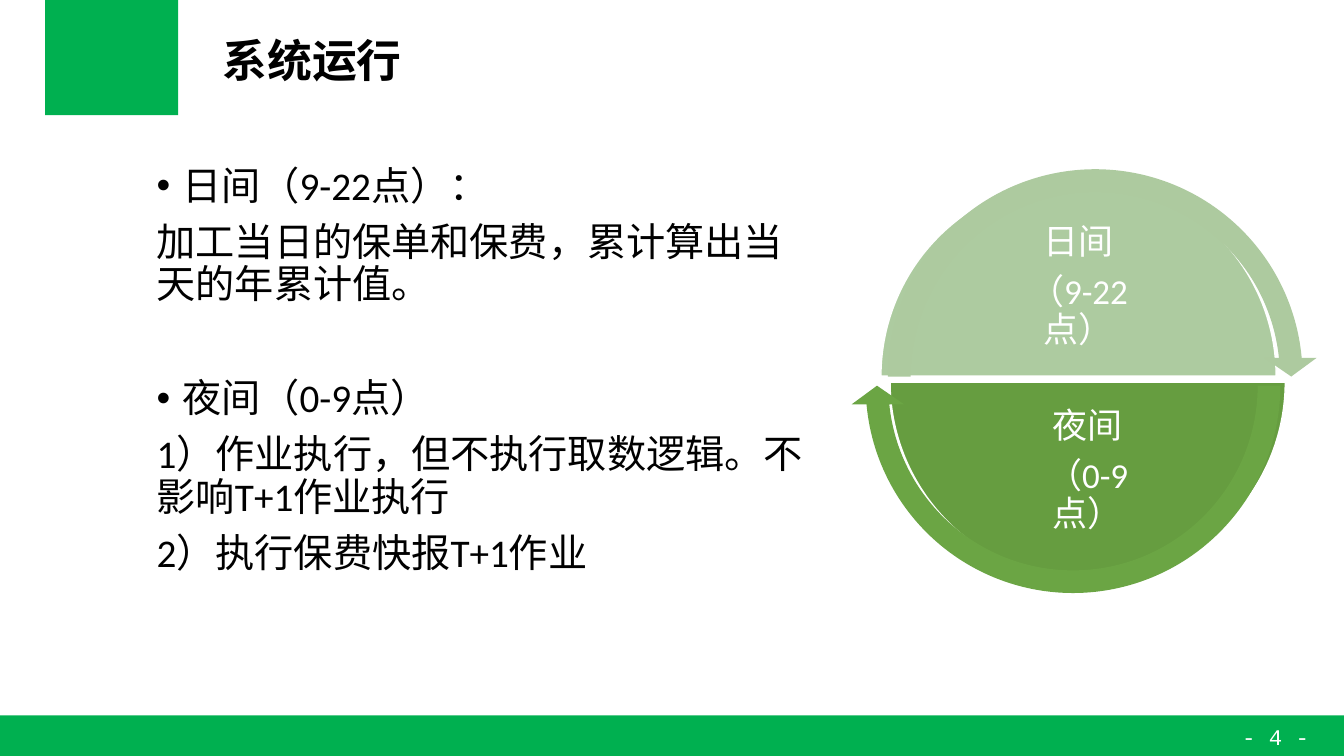
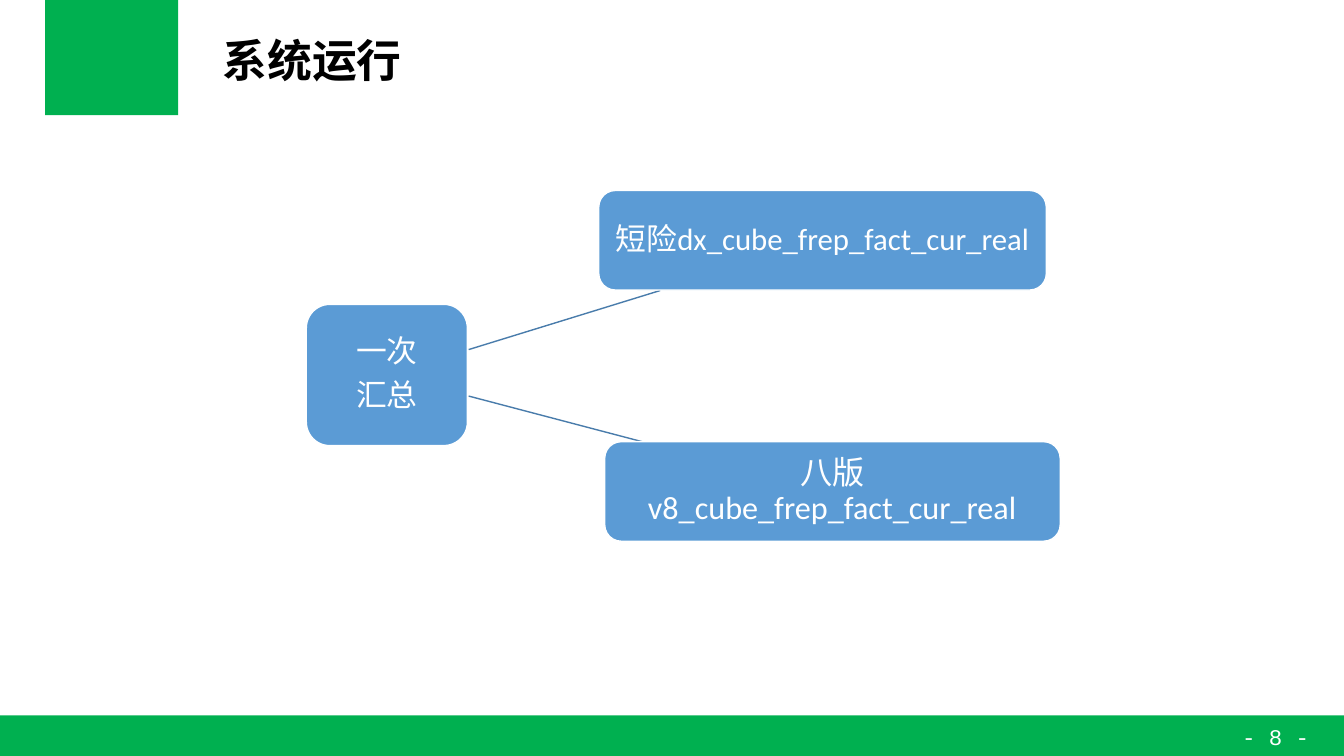
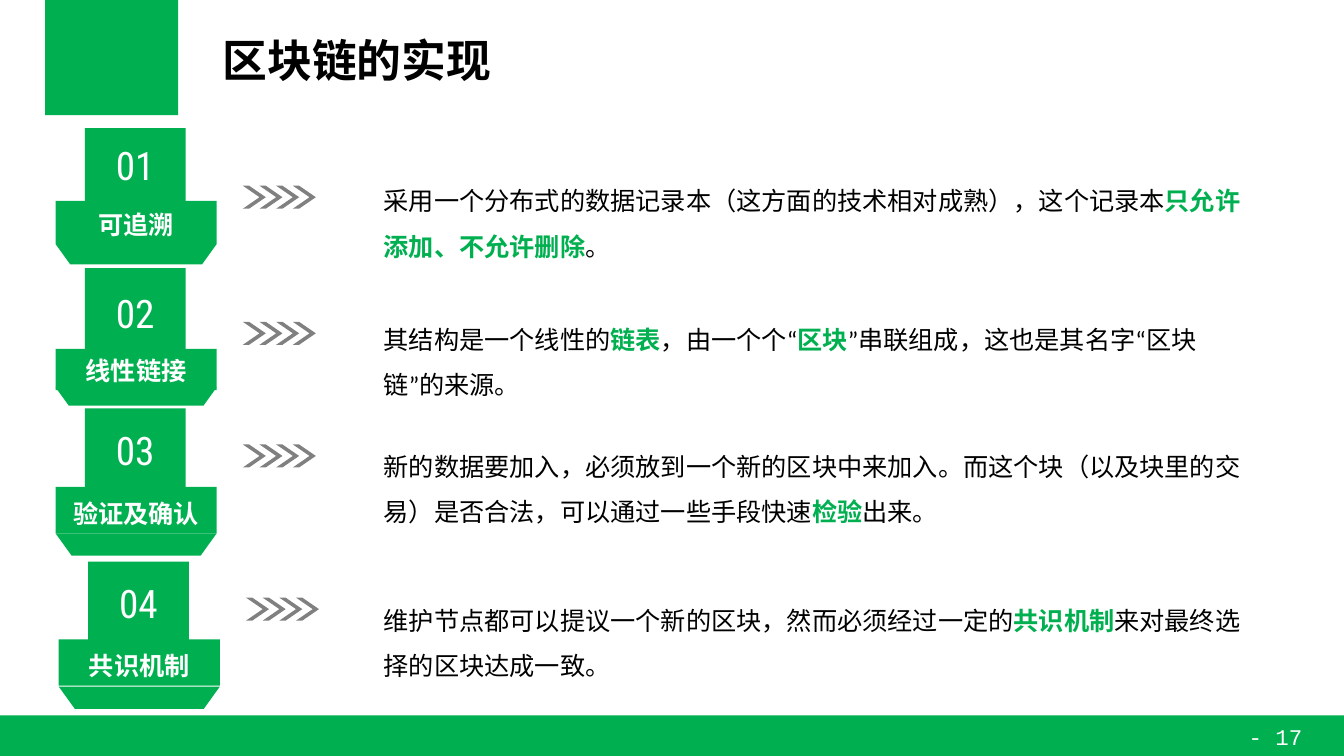
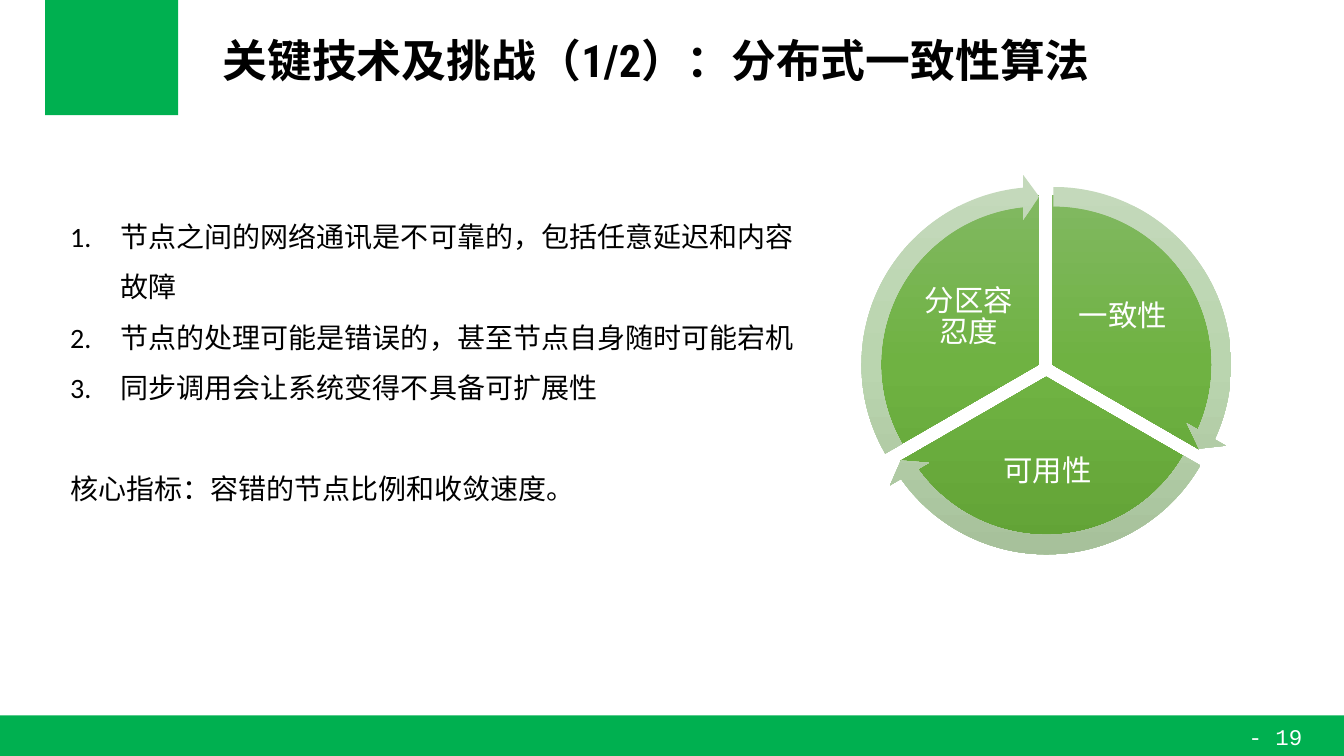
from copy import deepcopy
from dataclasses import dataclass

from lxml import etree
from pptx import Presentation
from pptx.dml.color import RGBColor
from pptx.enum import shapes, text
from pptx.oxml import ns
from pptx.util import Cm, Pt

GREEN, WHITE, BLACK = "00B050", "FFFFFF", "000000"
GREY, BLUE, LINK_BLUE = "808080", "5B9BD5", "497CAB"
SECTOR_GRADIENT = ("81B861", "6FB242", "62A336")
ARROW_GRADIENT = ("C4D9BB", "BAD5AF", "A5BF99")
BODY_FONT, LABEL_FONT, NUMBER_FONT = "Calibri", "Noto Sans CJK SC", "Roboto Condensed"
SLIDE_WIDTH, SLIDE_HEIGHT = 33.87, 19.05
INSETS = (0.25, 0.13, 0.25, 0.13)
SHAPE = shapes.MSO_SHAPE
CENTER = text.PP_ALIGN.CENTER
MIDDLE = text.MSO_ANCHOR.MIDDLE


def rgb(color):
    return RGBColor.from_string(color)


def set_fill(shape, color):
    """Fill with one colour, or with a top-down gradient for a tuple of three."""
    if isinstance(color, str):
        shape.fill.solid()
        shape.fill.fore_color.rgb = rgb(color)
        return
    shape.fill.gradient()
    shape.fill.gradient_angle = 270
    stop_list = shape.element.spPr.find(".//" + ns.qn("a:gsLst"))
    stop_list.insert(1, deepcopy(stop_list[0]))
    for stop, stop_color, position in zip(shape.fill.gradient_stops, color, (0, 0.5, 1)):
        stop.color.rgb = rgb(stop_color)
        stop.position = position


def add_shape(slide, kind, box, fill, line=None, rotation=0, adjustments=()):
    shape = slide.shapes.add_shape(kind, *map(Cm, box))
    shape.shadow.inherit = False
    set_fill(shape, fill)
    if line:
        shape.line.color.rgb = rgb(line)
        shape.line.width = Pt(1)
    else:
        shape.line.fill.background()
    shape.rotation = rotation
    for index, value in enumerate(adjustments):
        shape.adjustments[index] = value
    return shape


def set_frame(shape, insets=INSETS, anchor=text.MSO_ANCHOR.TOP):
    frame = shape.text_frame
    frame.word_wrap = True
    frame.vertical_anchor = anchor
    frame.margin_left, frame.margin_top, frame.margin_right, frame.margin_bottom = map(Cm, insets)
    return frame


def add_text_box(slide, box, **frame_format):
    return set_frame(slide.shapes.add_textbox(*map(Cm, box)), **frame_format)


def add_bullet(paragraph, bullet, indent):
    """Hang a bullet: a character, or the name of an automatic numbering."""
    properties = paragraph._p.get_or_add_pPr()
    properties.set("marL", str(Cm(indent)))
    properties.set("indent", str(-Cm(indent)))
    if len(bullet) == 1:
        etree.SubElement(properties, ns.qn("a:buFont")).set("typeface", "Arial")
        etree.SubElement(properties, ns.qn("a:buChar")).set("char", bullet)
    else:
        etree.SubElement(properties, ns.qn("a:buAutoNum")).set("type", bullet)


def add_paragraph(frame, content, size, font=BODY_FONT, color=BLACK, bold=False,
                  align=text.PP_ALIGN.LEFT, line_spacing=1.0, space_before=0,
                  bullet=None, indent=0):
    """Append a paragraph; parts between | signs are bold and green."""
    first = not frame.text
    paragraph = frame.paragraphs[0] if first else frame.add_paragraph()
    paragraph.alignment = align
    paragraph.line_spacing = line_spacing
    paragraph.space_before = Pt(0 if first else space_before)
    if bullet:
        add_bullet(paragraph, bullet, indent)
    for index, part in enumerate(content.split("|")):
        highlighted = index % 2 == 1
        run = paragraph.add_run()
        run.text = part
        run.font.size = Pt(size)
        run.font.bold = bold or highlighted
        run.font.color.rgb = rgb(GREEN if highlighted else color)
        run.font.name = font
        properties = run.font._element
        properties.set("lang", "zh-CN")
        east_asian = etree.Element(ns.qn("a:ea"), typeface=font)
        properties.find(ns.qn("a:latin")).addnext(east_asian)


def add_centered_lines(frame, lines, size):
    for line in lines:
        add_paragraph(frame, line, size=size, color=WHITE, align=CENTER,
                      line_spacing=0.9, space_before=0.35 * size)


def add_line(slide, start, end, color):
    connector = slide.shapes.add_connector(
        shapes.MSO_CONNECTOR.STRAIGHT, *map(Cm, start + end))
    connector.line.color.rgb = rgb(color)
    connector.line.width = Pt(1)
    etree.SubElement(connector.element.spPr, ns.qn("a:effectLst"))


def add_base_slide(presentation, title, number, title_font="Arial"):
    slide = presentation.slides.add_slide(presentation.slide_layouts[6])
    add_shape(slide, SHAPE.RECTANGLE, (1.14, 0, 3.35, 2.9), GREEN)
    add_shape(slide, SHAPE.RECTANGLE, (0, 18.03, SLIDE_WIDTH, 1.02), GREEN)
    page_frame = add_text_box(slide, (30.94, 18.08, 2.41, 0.94))
    add_paragraph(page_frame, f"- {number} -", size=16, font="Courier New",
                  color=WHITE, align=CENTER)
    title_frame = add_text_box(slide, (5.36, 0.61, 26.64, 1.98), anchor=MIDDLE)
    add_paragraph(title_frame, title, size=32, font=title_font, bold=True, line_spacing=0.9)
    return slide


@dataclass
class Sector:
    """One part of a cycle; angles are in preset units, places in its box."""
    lines: tuple
    start: float
    end: float
    pie_at: tuple
    label_box: tuple
    arrow_at: tuple
    pie_fill: object = SECTOR_GRADIENT
    arrow_fill: object = ARROW_GRADIENT


def add_cycle(slide, left, top, sectors, pie_size, arrow_size, text_size,
              rotation=0, line=None):
    """Draw pie sectors with labels, then the arrows that run around them."""
    for sector in sectors:
        x, y = sector.pie_at
        add_shape(slide, SHAPE.PIE, (left + x, top + y, pie_size, pie_size),
                  sector.pie_fill, line, rotation, (sector.start, sector.end))
        x, y, width, height = sector.label_box
        frame = add_text_box(slide, (left + x, top + y, width, height),
                             insets=(0.08,) * 4, anchor=MIDDLE)
        add_centered_lines(frame, sector.lines, text_size)
    head = 3.275
    for sector in sectors:
        x, y = sector.arrow_at
        add_shape(slide, SHAPE.CIRCULAR_ARROW, (left + x, top + y, arrow_size, arrow_size),
                  sector.arrow_fill, rotation=rotation,
                  adjustments=(0.051, head, sector.end - head, sector.start, 0.059))


def add_schedule_slide(presentation):
    slide = add_base_slide(presentation, "系统运行", 4)
    frame = add_text_box(slide, (3.7, 4.06, 16.84, 12.57))
    bulleted = {"bullet": "•", "indent": 0.64}
    for content, extra in (
        ("日间（9-22点）：", bulleted),
        ("加工当日的保单和保费，累计算出当天的年累计值。", {}),
        ("夜间（0-9点）", {**bulleted, "space_before": 51}),
        ("1）作业执行，但不执行取数逻辑。不影响T+1作业执行", {}),
        ("2）执行保费快报T+1作业", {}),
    ):
        add_paragraph(frame, content, size=28, line_spacing=0.9,
                      **{"space_before": 10, **extra})
    sectors = (
        Sector(("夜间", "（0-9点）"), 162, 54, (0.99, 0.76), (4.19, 5.61, 3.56, 4.75),
               (0, 0.23), "669D40", "6BA544"),
        Sector(("日间", "（9-22点）"), 54, 162, (0.76, 0.61), (3.96, 0.97, 3.56, 4.75),
               (0.56, 0), "ADCBA0", "ADCA9F"),
    )
    add_cycle(slide, 21.44, 3.89, sectors, pie_size=9.96, arrow_size=11.2,
              text_size=25, rotation=90, line=WHITE)


def add_summary_tree(slide, left, top):
    for start, end in (((4.09, 4.01), (8.92, 2.52)), ((4.09, 5.18), (8.46, 6.33))):
        add_line(slide, (left + start[0], top + start[1]),
                 (left + end[0], top + end[1]), LINK_BLUE)
    for lines, (x, y, width, height), size in (
        (("一次", "汇总"), (0, 2.87, 4.06, 3.56), 22),
        (("短险dx_cube_frep_fact_cur_real",), (7.37, 0, 11.28, 2.51), 22),
        (("八版v8_cube_frep_fact_cur_real",), (7.52, 6.33, 11.48, 2.51), 23),
    ):
        node = add_shape(slide, SHAPE.ROUNDED_RECTANGLE,
                         (left + x, top + y, width, height), BLUE, WHITE)
        add_centered_lines(set_frame(node, (0.28,) * 4, MIDDLE), lines, size)


def add_summary_slide(presentation):
    slide = add_base_slide(presentation, "系统运行", 8)
    add_summary_tree(slide, 7.72, 4.8)


@dataclass
class Feature:
    """One row; all heights but top are measured from the row's top."""
    label: str
    content: str
    top: float
    number_height: float
    number_drop: float
    label_top: float
    label_height: float
    label_drop: float
    flap_top: float
    flap_height: float
    chevron_top: float
    content_top: float
    left: float = 1.4


def add_badge(slide, feature, number):
    """Draw the number plate, the label plate and the flap below it."""
    left, top = feature.left, feature.top
    plate = add_shape(slide, SHAPE.RECTANGLE,
                      (left + 0.74, top, 2.54, feature.number_height), GREEN)
    frame = set_frame(plate, (0.25, feature.number_drop + 0.13, 0.25, 0))
    add_paragraph(frame, f"{number:02}", size=28, font=NUMBER_FONT, color=WHITE, align=CENTER)
    add_shape(slide, SHAPE.TRAPEZOID,
              (left, top + feature.flap_top, 4.06, feature.flap_height),
              GREEN, rotation=180, adjustments=(0.72,))
    label = add_shape(slide, SHAPE.RECTANGLE,
                      (left, top + feature.label_top, 4.06, feature.label_height), GREEN)
    frame = set_frame(label, (0.25, feature.label_drop + 0.13, 0.25, 0))
    add_paragraph(frame, feature.label, size=18, font=LABEL_FONT, color=WHITE,
                  bold=True, align=CENTER)


def add_feature(slide, feature, number):
    add_badge(slide, feature, number)
    for index in range(4):
        add_shape(slide, SHAPE.CHEVRON,
                  (feature.left + 4.72 + 0.42 * index, feature.top + feature.chevron_top,
                   0.58, 0.58), GREY, adjustments=(0.727,))
    frame = add_text_box(slide, (9.42, feature.top + feature.content_top, 22.23, 2.57))
    add_paragraph(frame, feature.content, size=18, line_spacing=1.5)


def add_blockchain_slide(presentation):
    slide = add_base_slide(presentation, "区块链的实现", 17)
    features = (
        Feature("可追溯",
                "采用一个分布式的数据记录本（这方面的技术相对成熟），这个记录本"
                "|只允许添加、不允许删除|。",
                3.23, 2.03, 0.2, 1.83, 1.09, 0.08, 2.92, 0.51, 1.45, 0.94),
        Feature("线性链接",
                "其结构是一个线性的|链表|，由一个个“|区块|”串联组成，"
                "这也是其名字“区块链”的来源。",
                6.76, 2.03, 0.41, 2.03, 1.04, 0.03, 3, 0.46, 1.35, 0.89),
        Feature("验证及确认",
                "新的数据要加入，必须放到一个新的区块中来加入。"
                "而这个块（以及块里的交易）是否合法，可以通过一些手段快速|检验|出来。",
                10.29, 2.18, 0.33, 1.98, 1.17, 0.15, 3.15, 0.56, 0.91, 0.56),
        Feature("共识机制",
                "维护节点都可以提议一个新的区块，然而必须经过一定的|共识机制|"
                "来对最终选择的区块达成一致。",
                14.15, 2.18, 0.33, 1.96, 1.17, 0.15, 3.15, 0.56, 0.91, 0.58, left=1.48),
    )
    for number, feature in enumerate(features, 1):
        add_feature(slide, feature, number)


def add_consistency_slide(presentation):
    slide = add_base_slide(presentation, "关键技术及挑战（1/2）：分布式一致性算法", 19,
                           title_font=NUMBER_FONT)
    frame = add_text_box(slide, (1.52, 4.98, 19.25, 7.95))
    for challenge in (
        "节点之间的网络通讯是不可靠的，包括任意延迟和内容故障",
        "节点的处理可能是错误的，甚至节点自身随时可能宕机",
        "同步调用会让系统变得不具备可扩展性",
    ):
        add_paragraph(frame, challenge, size=20, line_spacing=1.5,
                      bullet="arabicPeriod", indent=1.27)
    add_paragraph(frame, "核心指标：容错的节点比例和收敛速度。", size=20,
                  line_spacing=1.5, space_before=36)
    sectors = (
        Sector(("一致性",), 162, 18, (0.86, 0.53), (5.38, 2.34, 3.05, 2.54), (0.36, 0)),
        Sector(("可用性",), 18, 90, (0.71, 0.84), (2.72, 6.38, 4.57, 2.24), (0.18, 0.3)),
        Sector(("分区容忍度",), 90, 162, (0.53, 0.53), (1.5, 2.34, 3.05, 2.54), (0, 0)),
    )
    add_cycle(slide, 21.39, 4.39, sectors, pie_size=8.53, arrow_size=9.6, text_size=21)


def main():
    presentation = Presentation()
    presentation.slide_width = Cm(SLIDE_WIDTH)
    presentation.slide_height = Cm(SLIDE_HEIGHT)
    add_schedule_slide(presentation)
    add_summary_slide(presentation)
    add_blockchain_slide(presentation)
    add_consistency_slide(presentation)
    presentation.save("out.pptx")


if __name__ == "__main__":
    main()
